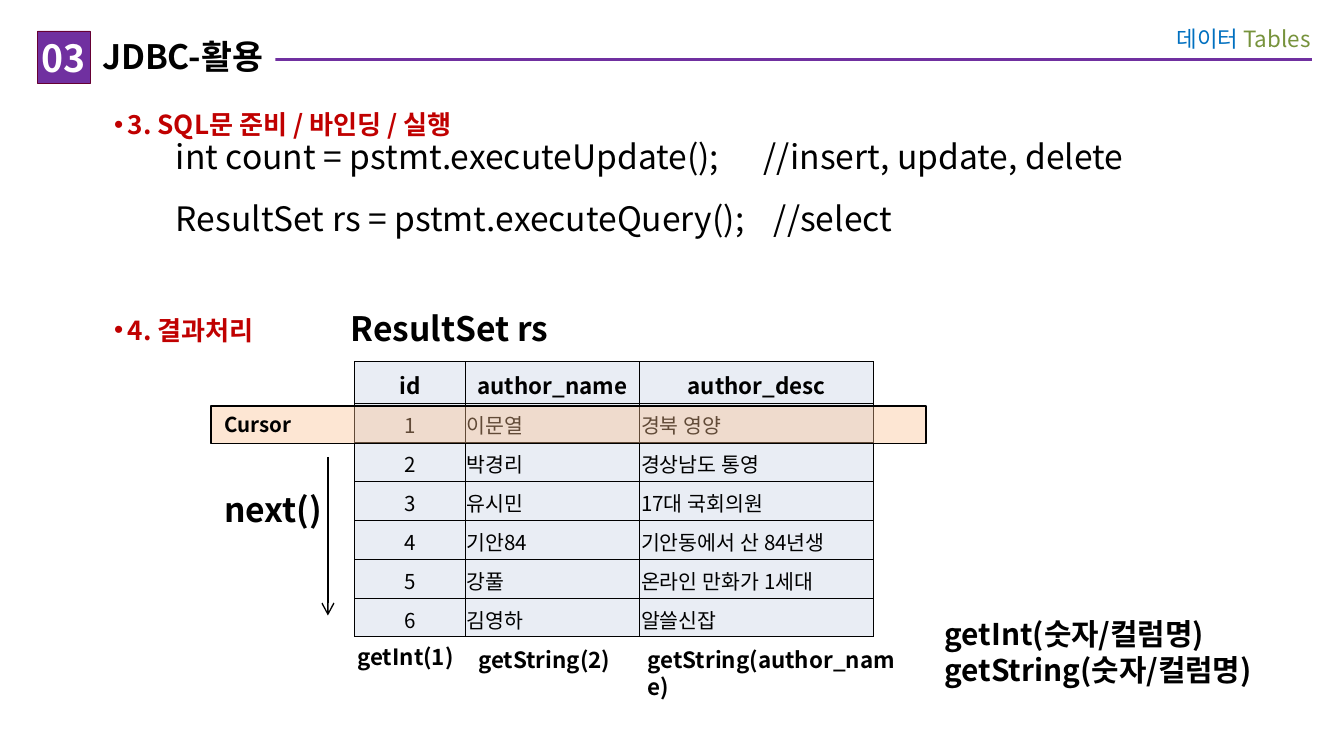
from lxml import etree
from pptx import Presentation
from pptx.dml.color import RGBColor
from pptx.enum import shapes, text
from pptx.oxml import ns
from pptx.util import Inches, Pt

FONT = "Noto Sans CJK KR"
COLORS = {
    "purple": "7030A0", "plum": "660033", "red": "C00000", "blue": "0070C0",
    "green": "77933C", "black": "000000", "white": "FFFFFF",
    "cell": "E9EDF4", "peach": "FAC090",
}
HEADERS = ["id", "author_name", "author_desc"]
AUTHORS = [
    ("이문열", "경북 영양"),
    ("박경리", "경상남도 통영"),
    ("유시민", "17대 국회의원"),
    ("기안84", "기안동에서 산 84년생"),
    ("강풀", "온라인 만화가 1세대"),
    ("김영하", "알쓸신잡"),
]
CENTER = text.PP_ALIGN.CENTER
MIDDLE = text.MSO_ANCHOR.MIDDLE
INSETS = (0.1, 0.05, 0.1, 0.05)


def rgb(name):
    """Return the named colour."""
    return RGBColor.from_string(COLORS[name])


def add_element(parent, tag, **attributes):
    """Append a drawing element to its parent and return it."""
    return etree.SubElement(parent, ns.qn(tag), attributes)


def apply_format(target, values):
    """Set attributes of an object from a dict."""
    for name, value in values.items():
        setattr(target, name, value)


def set_insets(target, insets):
    """Set the four margins of a text frame or cell."""
    sides = ("left", "top", "right", "bottom")
    apply_format(target, {f"margin_{side}": Inches(inset) for side, inset in zip(sides, insets)})


def add_run(paragraph, words, size, color="black", bold=False):
    """Add one run with its font."""
    run = paragraph.add_run()
    run.text = words
    apply_format(run.font, {"name": FONT, "size": Pt(size), "bold": bold})
    run.font.color.rgb = rgb(color)
    add_element(run.font._element, "a:ea", typeface=FONT)


def fill_frame(shape, lines, size, color="black", bold=True, insets=INSETS, align=None, anchor=None):
    """Write lines into a shape and return its paragraphs."""
    frame = shape.text_frame
    apply_format(frame, {"word_wrap": True, "vertical_anchor": anchor or text.MSO_ANCHOR.TOP})
    set_insets(frame, insets)
    for index, line in enumerate(lines):
        paragraph = frame.add_paragraph() if index else frame.paragraphs[0]
        paragraph.alignment = align or text.PP_ALIGN.LEFT
        add_run(paragraph, line, size, color, bold)
    return frame.paragraphs


def add_label(slide, box, lines, size, **options):
    """Add a text box and return its paragraphs."""
    shape = slide.shapes.add_textbox(*map(Inches, box))
    return fill_frame(shape, lines, size, **options)


def add_rectangle(slide, box, fill, line=None, width=1):
    """Add a flat rectangle."""
    shape = slide.shapes.add_shape(shapes.MSO_SHAPE.RECTANGLE, *map(Inches, box))
    shape.shadow.inherit = False
    shape.fill.solid()
    shape.fill.fore_color.rgb = rgb(fill)
    if line:
        shape.line.color.rgb = rgb(line)
        shape.line.width = Pt(width)
    else:
        shape.line.fill.background()
    return shape


def add_line(slide, start, end, color, width, arrow=False):
    """Add a straight line, with an arrowhead at its end if asked."""
    connector = slide.shapes.add_connector(
        shapes.MSO_CONNECTOR.STRAIGHT, *map(Inches, start + end))
    connector.line.color.rgb = rgb(color)
    connector.line.width = Pt(width)
    if arrow:
        add_element(connector.line._get_or_add_ln(), "a:tailEnd", type="arrow")
    add_element(connector._element.spPr, "a:effectLst")


def add_heading(slide, box, words):
    """Add a red bulleted heading."""
    paragraph = add_label(slide, box, [words], 14, color="red", insets=(0.12, 0, 0.1, 0.05))[0]
    paragraph.line_spacing = 1.5
    properties = paragraph._p.get_or_add_pPr()
    properties.set("marL", str(Inches(0.4)))
    properties.set("indent", str(Inches(-0.1)))
    color = add_element(properties, "a:buClr")
    add_element(color, "a:srgbClr", val=COLORS["red"])
    add_element(properties, "a:buFont", typeface="Arial")
    add_element(properties, "a:buChar", char="•")


def add_header(slide, left, top, width):
    """Place the number, title, rule and course name."""
    add_line(slide, (left + width, top + 0.21), (left + 0.43, top + 0.21), "purple", 1.5)
    course = add_label(slide, (left + width - 1.45, top - 0.12, 1.54, 0.36), ["데이터 "], 12,
                       color="blue", bold=False, insets=(0.1, 0.08, 0.1, 0.08),
                       align=text.PP_ALIGN.RIGHT)[0]
    add_run(course, "Tables", 12, "green")
    title = add_rectangle(slide, (left + 0.4, top, 1.37, 0.38), "white")
    fill_frame(title, ["JDBC-활용"], 18, insets=(0.08, 0.04, 0, 0.04))
    number = add_rectangle(slide, (left, top, 0.39, 0.39), "purple", "plum", 0.25)
    fill_frame(number, ["03"], 20, color="white", insets=(0, 0, 0, 0), align=CENTER, anchor=MIDDLE)


def add_statements(slide, left, top, width, height):
    """Place the execution heading and its two code lines."""
    add_heading(slide, (left, top, width, height), "3. SQL문 준비 / 바인딩 / 실행")
    lines = ["int count = pstmt.executeUpdate();\t//insert, update, delete",
             "ResultSet rs = pstmt.executeQuery();\t//select"]
    paragraphs = add_label(slide, (left + 0.78, top + 0.27, 7.35, 0.87), lines, 18, bold=False)
    paragraphs[1].space_before = Pt(12)
    for paragraph, stop in zip(paragraphs, (4.37, 4.45)):
        stops = add_element(paragraph._p.get_or_add_pPr(), "a:tabLst")
        add_element(stops, "a:tab", pos=str(Inches(stop)), algn="l")


def format_cell(cell, words, size, bold, centered):
    """Write one table cell with its fill and borders."""
    cell.fill.solid()
    cell.fill.fore_color.rgb = rgb("cell")
    cell.vertical_anchor = MIDDLE
    set_insets(cell, (0.01, 0.05, 0.01, 0.05))
    paragraph = cell.text_frame.paragraphs[0]
    paragraph.alignment = CENTER if centered else text.PP_ALIGN.LEFT
    add_run(paragraph, words, size, bold=bold)
    properties = cell._tc.get_or_add_tcPr()
    for index, side in enumerate(("a:lnL", "a:lnR", "a:lnT", "a:lnB")):
        border = etree.Element(ns.qn(side), w=str(Pt(0.45)))
        fill = add_element(border, "a:solidFill")
        add_element(fill, "a:srgbClr", val=COLORS["black"])
        properties.insert(index, border)


def add_author_table(slide, left, top):
    """Place the table of authors."""
    rows = [HEADERS] + [(str(number), *author) for number, author in enumerate(AUTHORS, 1)]
    widths, heights = (0.82, 1.3, 1.74), [0.31] + [0.29] * len(AUTHORS)
    box = (left, top, sum(widths), sum(heights))
    table = slide.shapes.add_table(len(rows), len(widths), *map(Inches, box)).table
    for column, width in zip(table.columns, widths):
        column.width = Inches(width)
    for row_index, (row, height) in enumerate(zip(rows, heights)):
        table.rows[row_index].height = Inches(height)
        header = row_index == 0
        for column_index, words in enumerate(row):
            format_cell(table.cell(row_index, column_index), words,
                        12 if header else 11, header, header or column_index == 0)


def add_result_set(slide, left, top):
    """Place the result heading, table, cursor and getter calls."""
    add_heading(slide, (left, top, 2.36, 0.47), "4. 결과처리")
    add_author_table(slide, left + 2.21, top + 0.47)
    cursor = add_rectangle(slide, (left + 1.14, top + 0.8, 5.32, 0.28), "peach", "black")
    color = cursor.fill._xPr.find(ns.qn("a:solidFill"))[0]
    add_element(color, "a:alpha", val="39000")
    fill_frame(cursor, ["Cursor"], 11, anchor=MIDDLE)
    add_line(slide, (left + 2.01, top + 1.18), (left + 2.01, top + 2.36), "black", 0.75, True)
    labels = [
        ((2.08, 0.02, 2.05, 0.4), ["ResultSet rs"], 18),
        ((1.14, 1.37, 1.1, 0.4), ["next()"], 18),
        ((2.13, 2.52, 0.98, 0.3), ["getInt(1)"], 12),
        ((3.03, 2.54, 1.31, 0.3), ["getString(2)"], 12),
        ((4.29, 2.54, 2.12, 0.5), ["getString(author_name)"], 12),
        ((6.5, 2.31, 2.52, 0.9), ["getInt(숫자/컬럼명)", "getString(숫자/컬럼명)"], 16),
    ]
    for (x, y, width, height), lines, size in labels:
        add_label(slide, (left + x, top + y, width, height), lines, size)


def main():
    """Build and save the slide."""
    presentation = Presentation()
    width = Inches(10)
    apply_format(presentation, {"slide_width": width, "slide_height": width * 9 // 16})
    slide = presentation.slides.add_slide(presentation.slide_layouts[6])
    add_header(slide, 0.28, 0.23, 9.48)
    add_statements(slide, 0.43, 0.69, 9.21, 1.82)
    add_result_set(slide, 0.43, 2.22)
    presentation.save("out.pptx")


if __name__ == "__main__":
    main()
